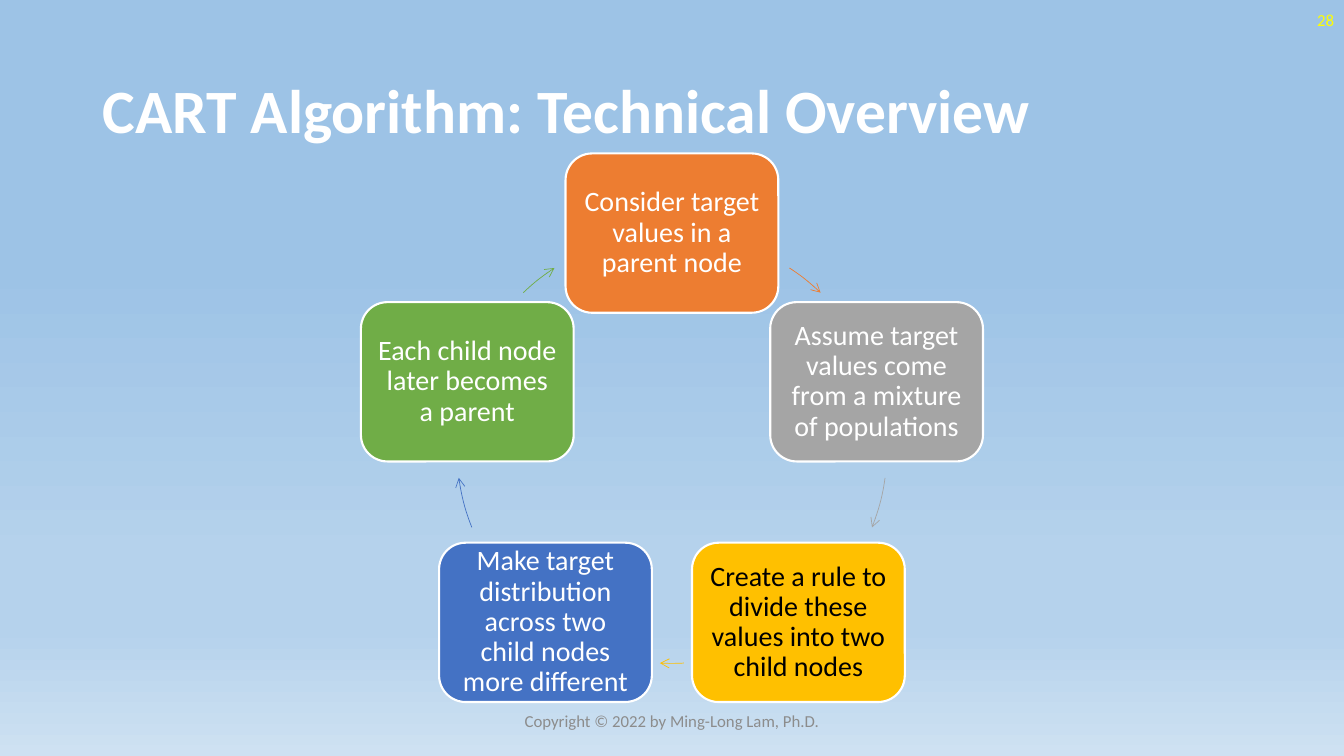
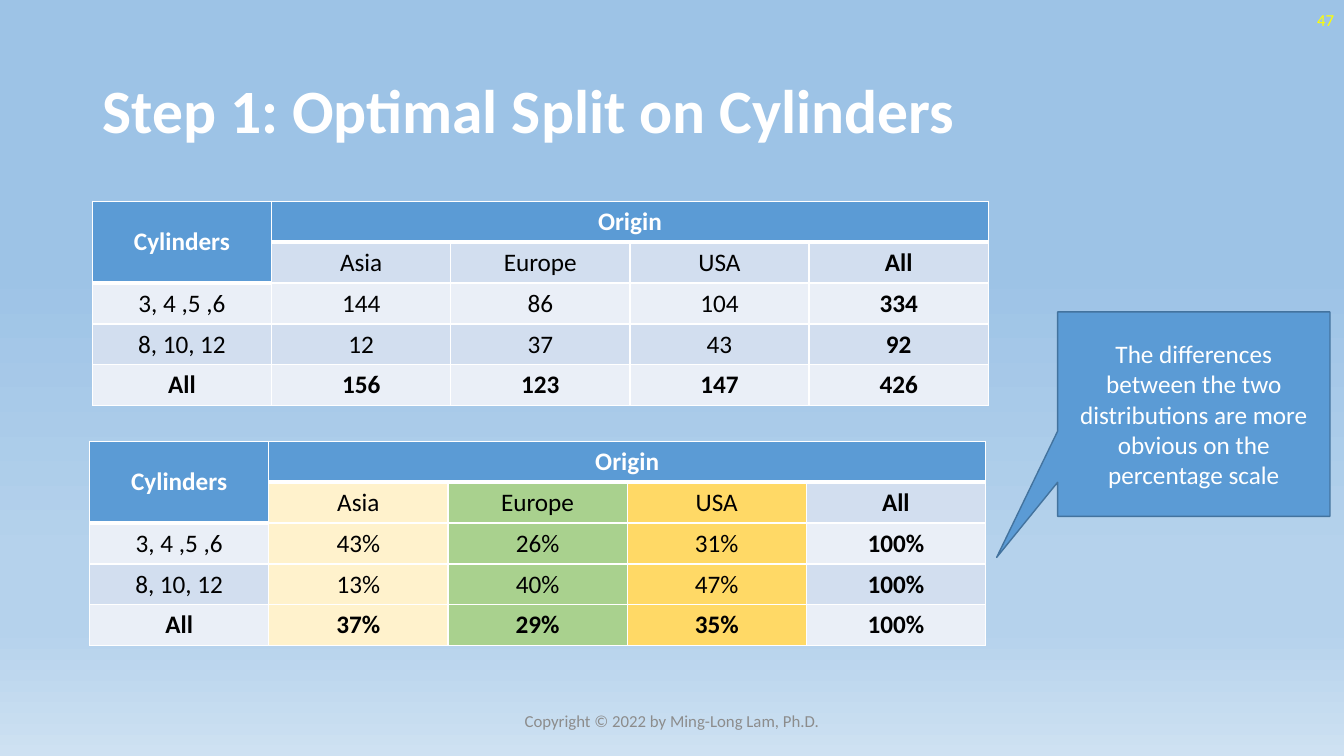
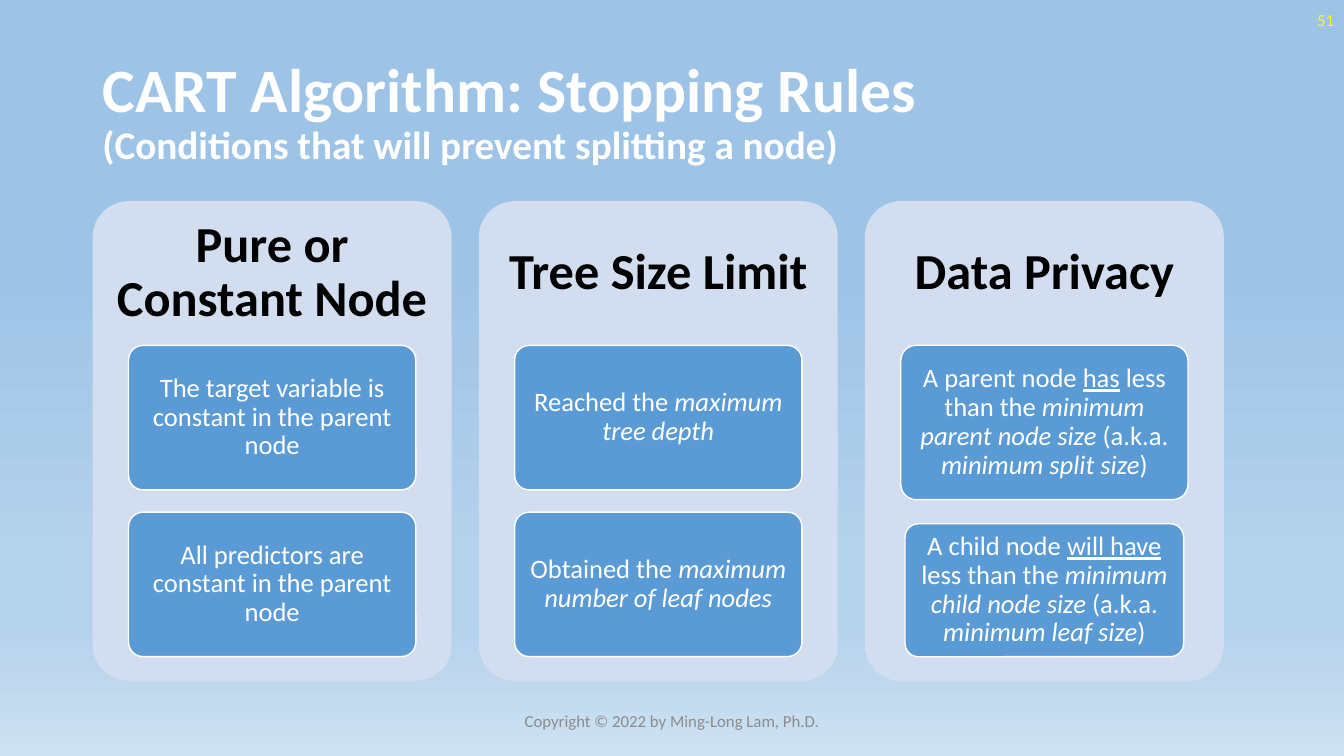
from dataclasses import dataclass
from math import cos, radians, sin

from lxml.etree import SubElement
from pptx import Presentation
from pptx.dml.color import RGBColor
from pptx.enum.shapes import MSO_SHAPE
from pptx.enum.text import MSO_ANCHOR, MSO_AUTO_SIZE, PP_ALIGN
from pptx.oxml.ns import qn
from pptx.util import Pt


@dataclass(frozen=True)
class Theme:
    font: str = "Calibri"
    white: str = "FFFFFF"
    black: str = "000000"
    orange: str = "ED7D31"
    gray: str = "A5A5A5"
    gold: str = "FFC000"
    blue: str = "4472C4"
    green: str = "70AD47"
    accent: str = "5B9BD5"
    accent_edge: str = "43739E"
    band: str = "D2DEEF"
    pale_band: str = "EAEFF7"
    cream: str = "FFF2CC"
    light_green: str = "A9D18E"
    light_gold: str = "FFD966"
    footer: str = "8C8C8C"
    page_number: str = "FFFF00"
    backdrop: tuple = ((35, "9DC3E6"), (74, "B5D2EC"), (83, "B5D2EC"), (100, "CEE1F2"))
    title_size: int = 44
    heading_size: int = 36
    subtitle_size: int = 28
    step_size: int = 20
    rule_size: int = 19
    body_size: int = 18
    small_size: int = 12


THEME = Theme()
COPYRIGHT = "Copyright © 2022 by Ming-Long Lam, Ph.D."


def rgb(color):
    return RGBColor.from_string(color)


def add_run(paragraph, text, size=THEME.body_size, color=THEME.white,
            bold=False, italic=False, underline=False):
    run = paragraph.add_run()
    run.text = text
    font = run.font
    font.name, font.size = THEME.font, Pt(size)
    font.bold, font.italic, font.underline = bold, italic, underline
    font.color.rgb = rgb(color)


def write(frame, text, align=PP_ALIGN.CENTER, spacing=1.0, insets=(7.2, 3.6), **style):
    frame.word_wrap = True
    frame.auto_size = MSO_AUTO_SIZE.NONE
    frame.vertical_anchor = MSO_ANCHOR.MIDDLE
    frame.margin_left = frame.margin_right = Pt(insets[0])
    frame.margin_top = frame.margin_bottom = Pt(insets[1])
    paragraph = frame.paragraphs[0]
    paragraph.alignment, paragraph.line_spacing = align, spacing
    parts = [(text, {})] if isinstance(text, str) else text
    for words, change in parts:
        add_run(paragraph, words, **{**style, **change})
    return paragraph


def draw_borders(cell, widths):
    properties = cell._tc.get_or_add_tcPr()
    for side, width in widths.items():
        edge = SubElement(properties, qn(f"a:ln{side}"), w=str(Pt(width)))
        SubElement(SubElement(edge, qn("a:solidFill")), qn("a:srgbClr"), val=THEME.white)


class Deck:
    def __init__(self, theme):
        self.theme = theme
        self.show = Presentation()
        self.show.slide_width, self.show.slide_height = Pt(960), Pt(540)
        self.slide = None
        self.paint_backdrop()

    def paint_backdrop(self):
        master = self.show.slide_master
        fill = master.background.fill
        fill.gradient()
        fill.gradient_angle = 270
        stops = master.element.find(".//" + qn("p:bg")).find(".//" + qn("a:gsLst"))
        for stop in list(stops):
            stops.remove(stop)
        for position, color in self.theme.backdrop:
            stop = SubElement(stops, qn("a:gs"), pos=str(position * 1000))
            SubElement(stop, qn("a:srgbClr"), val=color)

    def start(self, title, number, subtitle=None):
        theme = self.theme
        self.slide = self.show.slides.add_slide(self.show.slide_layouts[5])
        heading = self.slide.shapes.title
        heading.left, heading.top, heading.width, heading.height = map(Pt, (66, 29, 828, 104))
        paragraph = write(heading.text_frame, title, PP_ALIGN.LEFT, 0.9,
                          size=theme.title_size, bold=True)
        if subtitle:
            paragraph.add_line_break()
            add_run(paragraph, subtitle, size=theme.subtitle_size, bold=True)
        self.label((318, 500.5, 324, 28.75), COPYRIGHT,
                   size=theme.small_size, color=theme.footer)
        self.label((744, 0, 216, 28.75), str(number), align=PP_ALIGN.RIGHT,
                   size=theme.small_size, color=theme.page_number)

    def label(self, area, text, **style):
        box = self.slide.shapes.add_textbox(*map(Pt, area))
        write(box.text_frame, text, **style)

    def shape(self, area, fill, text=None, preset=MSO_SHAPE.ROUNDED_RECTANGLE,
              adjust=(), line=None, line_width=1, **style):
        figure = self.slide.shapes.add_shape(preset, *map(Pt, area))
        figure.shadow.inherit = False
        for index, value in enumerate(adjust):
            figure.adjustments[index] = value
        figure.fill.solid()
        figure.fill.fore_color.rgb = rgb(fill)
        if line:
            figure.line.color.rgb = rgb(line)
            figure.line.width = Pt(line_width)
        else:
            figure.line.fill.background()
        if text:
            write(figure.text_frame, text, **style)

    def arc_arrow(self, area, start, end, color):
        arrow = self.slide.shapes.add_shape(MSO_SHAPE.ARC, *map(Pt, area))
        arrow.shadow.inherit = False
        for index, angle in enumerate((start, end)):
            arrow.adjustments[index] = (angle - 90) % 360 * 0.6
        arrow.fill.background()
        arrow.line.color.rgb = rgb(color)
        arrow.line.width = Pt(0.5)
        SubElement(arrow._element.spPr.find(qn("a:ln")), qn("a:tailEnd"), type="arrow")

    def crosstab(self, left, top, rows, column_fills=None):
        theme = self.theme
        content = [["Cylinders", "Origin", "", "", ""],
                   ["", "Asia", "Europe", "USA", "All"], *rows]
        size = len(content)
        table = self.slide.shapes.add_table(
            size, 5, Pt(left), Pt(top), Pt(640), Pt(146)).table
        table.first_row = table.horz_banding = False
        table.cell(0, 0).merge(table.cell(1, 0))
        table.cell(0, 1).merge(table.cell(0, 4))
        for r, values in enumerate(content):
            table.rows[r].height = Pt(29.1)
            for c, value in enumerate(values):
                header_end = 1 if c == 0 else 0
                header = r <= header_end
                cell = table.cell(r, c)
                draw_borders(cell, {"L": 1, "R": 1, "T": 3 if r == header_end + 1 else 1,
                                    "B": 3 if header else 1})
                band = theme.band if r % 2 else theme.pale_band
                fill = theme.accent if header else (column_fills or {}).get(c, band)
                cell.fill.solid()
                cell.fill.fore_color.rgb = rgb(fill)
                cell.vertical_anchor = MSO_ANCHOR.MIDDLE
                paragraph = cell.text_frame.paragraphs[0]
                paragraph.alignment = PP_ALIGN.CENTER
                if value:
                    add_run(paragraph, value, bold=header or c == 4 or r == size - 1,
                            color=theme.white if header else theme.black)


def build_overview(deck):
    theme = deck.theme
    deck.start("CART Algorithm: Technical Overview", 28)
    width, height, radius = 152, 113.8, 153.7
    center_x, center_y = 480, 320.2
    ring = (center_x - radius, center_y - radius, 2 * radius, 2 * radius)
    steps = [
        ("Consider target values in a parent node", theme.orange, 33.1, 43.7),
        ("Assume target values come from a mixture of populations", theme.gray, 97.9, 111.6),
        ("Create a rule to divide these values into two child nodes", theme.gold, 176.8, 183.2),
        ("Make target distribution across two child nodes more different",
         theme.blue, 248.4, 262.1),
        ("Each child node later becomes a parent", theme.green, 316.3, 326.9),
    ]
    for index, (step, color, arc_start, arc_end) in enumerate(steps):
        angle = radians(index * 360 / len(steps))
        x, y = center_x + radius * sin(angle), center_y - radius * cos(angle)
        deck.shape((x - width / 2, y - height / 2, width, height), color, step,
                   line=theme.white, line_width=1.5, spacing=0.9, insets=(6, 6),
                   size=theme.step_size,
                   color=theme.black if color == theme.gold else theme.white)
        deck.arc_arrow(ring, arc_start, arc_end, color)


def build_split(deck):
    theme = deck.theme
    deck.start("Step 1: Optimal Split on Cylinders", 47)
    deck.crosstab(66, 143.8, [
        ["3, 4 ,5 ,6", "144", "86", "104", "334"],
        ["8, 10, 12", "12", "37", "43", "92"],
        ["All", "156", "123", "147", "426"],
    ])
    deck.crosstab(64, 315.2, [
        ["3, 4 ,5 ,6", "43%", "26%", "31%", "100%"],
        ["8, 10, 12", "13%", "40%", "47%", "100%"],
        ["All", "37%", "29%", "35%", "100%"],
    ], {1: theme.cream, 2: theme.light_green, 3: theme.light_gold})
    deck.shape((755.5, 222.8, 194.5, 146), theme.accent,
               "The differences between the two distributions are more obvious "
               "on the percentage scale",
               preset=MSO_SHAPE.RECTANGULAR_CALLOUT, adjust=(-0.724, 0.701),
               line=theme.accent_edge)


def build_stopping_rules(deck):
    theme = deck.theme
    deck.start("CART Algorithm: Stopping Rules", 51,
               "(Conditions that will prevent splitting a node)")
    plain, italic, underline = {}, {"italic": True}, {"underline": True}
    even_boxes = [(246.7, 205.2, 103.2), (365.8, 205.2, 103.2)]
    fitted_boxes = [(246.6, 205.2, 110.3), (374.1, 199, 95)]
    groups = [
        ("Pure or Constant Node", even_boxes, [
            "The target variable is constant in the parent node",
            "All predictors are constant in the parent node"]),
        ("Tree Size Limit", even_boxes, [
            [("Reached the ", plain), ("maximum tree depth", italic)],
            [("Obtained the ", plain), ("maximum number of leaf nodes", italic)]]),
        ("Data Privacy", fitted_boxes, [
            [("A parent node ", plain), ("has", underline), (" less than the", plain),
             (" minimum parent node size", italic), (" (a.k.a. ", plain),
             ("minimum split size", italic), (")", plain)],
            [("A child node ", plain), ("will have", underline), (" less than the ", plain),
             ("minimum child node size ", italic), ("(a.k.a. ", plain),
             ("minimum leaf size", italic), (")", plain)]]),
    ]
    panel_top, panel_width = 143.7, 256.4
    for index, (heading, boxes, rules) in enumerate(groups):
        left = 66.2 + index * 275.8
        deck.shape((left, panel_top, panel_width, 342.7), theme.band, adjust=(0.1,))
        deck.label((left, panel_top, panel_width, 102.8), heading, spacing=0.9,
                   insets=(10.8, 10.8), size=theme.heading_size, color=theme.black, bold=True)
        for (top, width, height), rule in zip(boxes, rules):
            deck.shape((left + (panel_width - width) / 2, top, width, height), theme.accent,
                       rule, adjust=(0.1,), line=theme.white, spacing=0.9,
                       insets=(3.6, 2.7), size=theme.rule_size)


def main():
    deck = Deck(THEME)
    build_overview(deck)
    build_split(deck)
    build_stopping_rules(deck)
    deck.show.save("out.pptx")


if __name__ == "__main__":
    main()
